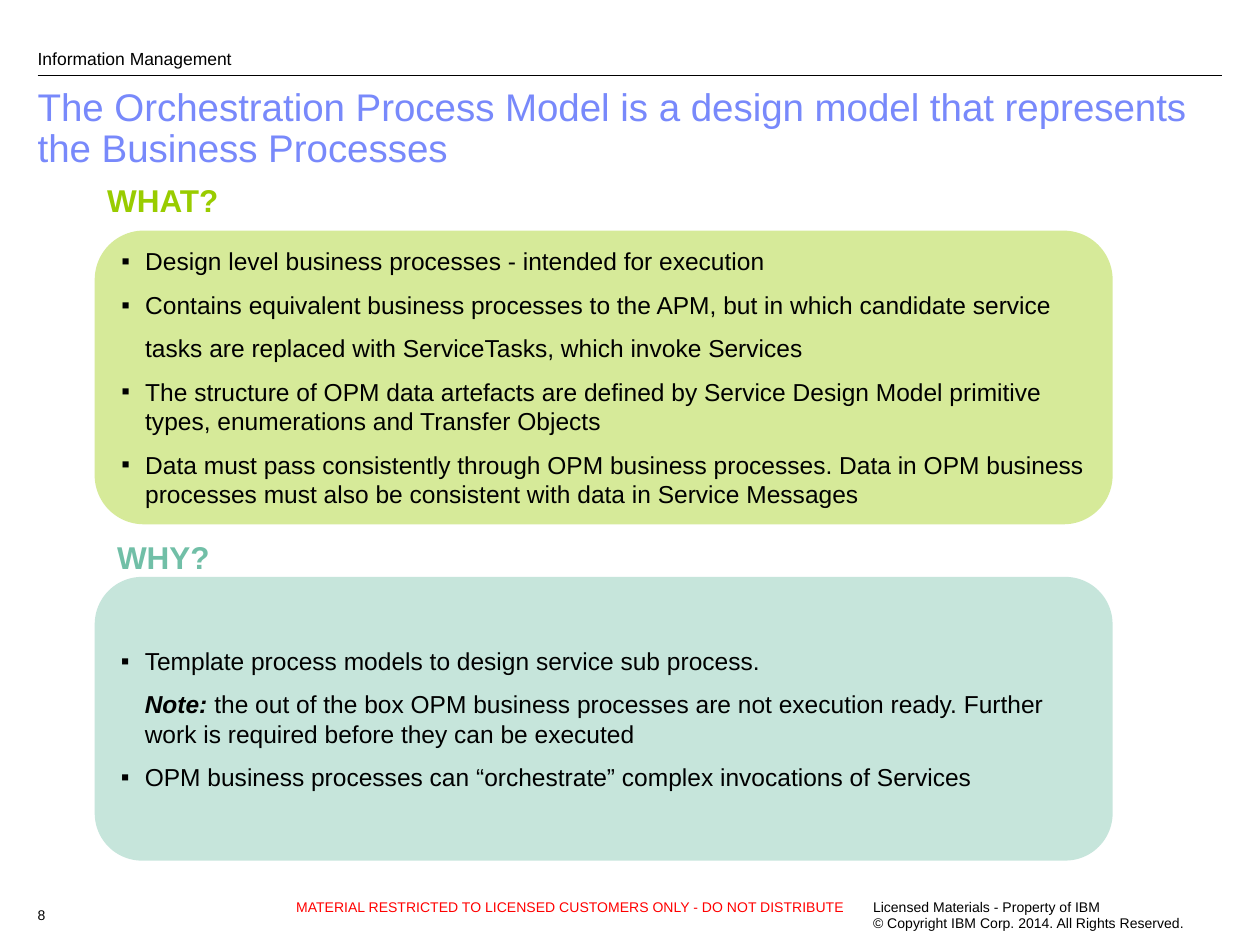
import pptx
import pptx.dml.color
import pptx.enum.shapes
import pptx.enum.text
import pptx.oxml.ns
import pptx.util
from lxml import etree
from pptx.util import Cm

ANCHOR = pptx.enum.text.MSO_ANCHOR
BLACK = "000000"
FONT = "Arial"
LEFT = Cm(0.51)
PANEL_LEFT = Cm(1.91)
PANEL_WIDTH = Cm(20.52)
HANGING = Cm(0.48)

WHAT_POINTS = [
    (True, [("Design level business processes - intended for execution", False)]),
    (True, [("Contains equivalent business processes to the APM, but in which candidate service", False)]),
    (False, [("tasks are replaced with ServiceTasks, which invoke Services", False)]),
    (True, [("The structure of OPM data artefacts are defined by Service Design Model "
             "primitive types, enumerations and Transfer Objects", False)]),
    (True, [("Data must pass consistently through OPM business processes. Data in OPM business "
             "processes must also be consistent with data in Service Messages", False)]),
]
WHY_POINTS = [
    (True, [("Template process models to design service sub process.", False)]),
    (False, [("Note: ", True),
             ("the out of the box OPM business processes are not execution ready. "
              "Further work is required before they can be executed", False)]),
    (True, [("OPM business processes can “orchestrate” complex invocations of Services", False)]),
]


def rgb(hex_colour):
    return pptx.dml.color.RGBColor.from_string(hex_colour)


def add_run(paragraph, text, size, colour, bold=False, italic=False):
    run = paragraph.add_run()
    run.text = text
    run.font.name = FONT
    run.font.size = pptx.util.Pt(size)
    run.font.bold = bold
    run.font.italic = italic
    run.font.color.rgb = rgb(colour)


def add_label(slide, place, lines, size, colour=BLACK, bold=False, spacing=None):
    label = slide.shapes.add_textbox(*place)
    frame = label.text_frame
    frame.word_wrap = True
    for index, line in enumerate(lines):
        paragraph = frame.add_paragraph() if index else frame.paragraphs[0]
        paragraph.line_spacing = spacing
        add_run(paragraph, line, size, colour, bold)
    return frame


def add_heading(slide, left, top, text, colour):
    add_label(slide, (left, top, Cm(2.79), Cm(0.94)), [text], 18, colour, True, 0.9)


def add_header_rule(slide):
    rule = slide.shapes.add_connector(
        pptx.enum.shapes.MSO_CONNECTOR.STRAIGHT, Cm(0.76), Cm(1.52), Cm(24.64), Cm(1.52))
    rule.line.color.rgb = rgb(BLACK)
    rule.line.width = pptx.util.Pt(0.75)
    etree.SubElement(rule._element.spPr, pptx.oxml.ns.qn("a:effectLst"))


def set_indent(paragraph, bulleted):
    properties = paragraph._p.get_or_add_pPr()
    properties.set("marL", str(HANGING))
    properties.set("indent", str(-HANGING if bulleted else 0))
    if bulleted:
        bullet_colour = etree.SubElement(properties, pptx.oxml.ns.qn("a:buClr"))
        etree.SubElement(bullet_colour, pptx.oxml.ns.qn("a:srgbClr"), val=BLACK)
        etree.SubElement(properties, pptx.oxml.ns.qn("a:buFont"), typeface=FONT)
        etree.SubElement(properties, pptx.oxml.ns.qn("a:buChar"), char="▪")


def add_panel(slide, top, height, colour, points):
    panel = slide.shapes.add_shape(
        pptx.enum.shapes.MSO_SHAPE.ROUNDED_RECTANGLE, PANEL_LEFT, top, PANEL_WIDTH, height)
    panel.shadow.inherit = False
    panel.fill.solid()
    panel.fill.fore_color.rgb = rgb(colour)
    tint = panel._element.spPr.find(".//" + pptx.oxml.ns.qn("a:srgbClr"))
    etree.SubElement(tint, pptx.oxml.ns.qn("a:alpha"), val="40000")
    panel.line.fill.background()
    frame = panel.text_frame
    frame.word_wrap = True
    frame.vertical_anchor = ANCHOR.MIDDLE
    for index, (bulleted, parts) in enumerate(points):
        paragraph = frame.add_paragraph() if index else frame.paragraphs[0]
        set_indent(paragraph, bulleted)
        paragraph.alignment = pptx.enum.text.PP_ALIGN.LEFT
        if index:
            paragraph.space_before = pptx.util.Pt(8)
        for text, emphasis in parts:
            add_run(paragraph, text, 14, BLACK, emphasis, emphasis)


def add_header(slide):
    add_header_rule(slide)
    section = add_label(slide, (LEFT, Cm(0.38), Cm(21.59), Cm(1.02)),
                        ["Information Management"], 10)
    section.margin_top = section.margin_bottom = 0
    section.vertical_anchor = ANCHOR.BOTTOM
    section.paragraphs[0].space_after = pptx.util.Pt(9)
    add_label(slide, (LEFT, Cm(1.65), Cm(24.13), Cm(1.93)),
              ["The Orchestration Process Model is a design model that represents "
               "the Business Processes"], 22, "7889FB", spacing=0.9)


def add_footer(slide):
    add_label(slide, (Cm(5.72), Cm(17.98), Cm(17.27), Cm(0.89)),
              ["MATERIAL RESTRICTED TO LICENSED CUSTOMERS ONLY - DO NOT DISTRIBUTE"], 8, "FF0000")
    add_label(slide, (Cm(17.35), Cm(17.98), Cm(7.95), Cm(0.89)),
              ["Licensed Materials - Property of IBM",
               "© Copyright IBM Corp. 2014. All Rights Reserved."], 8)
    add_label(slide, (LEFT, Cm(18.16), Cm(1), Cm(0.58)), ["8"], 8)


def main():
    deck = pptx.Presentation()
    deck.slide_width, deck.slide_height = Cm(25.4), Cm(19.05)
    slide = deck.slides.add_slide(deck.slide_layouts[6])
    add_header(slide)
    add_heading(slide, PANEL_LEFT, Cm(3.61), "WHAT?", "99CC00")
    add_panel(slide, Cm(4.65), Cm(5.92), "99CC00", WHAT_POINTS)
    add_heading(slide, Cm(2.11), Cm(10.8), "WHY?", "71BFA7")
    add_panel(slide, Cm(11.63), Cm(5.72), "71BFA7", WHY_POINTS)
    add_footer(slide)
    deck.save("out.pptx")


if __name__ == "__main__":
    main()
